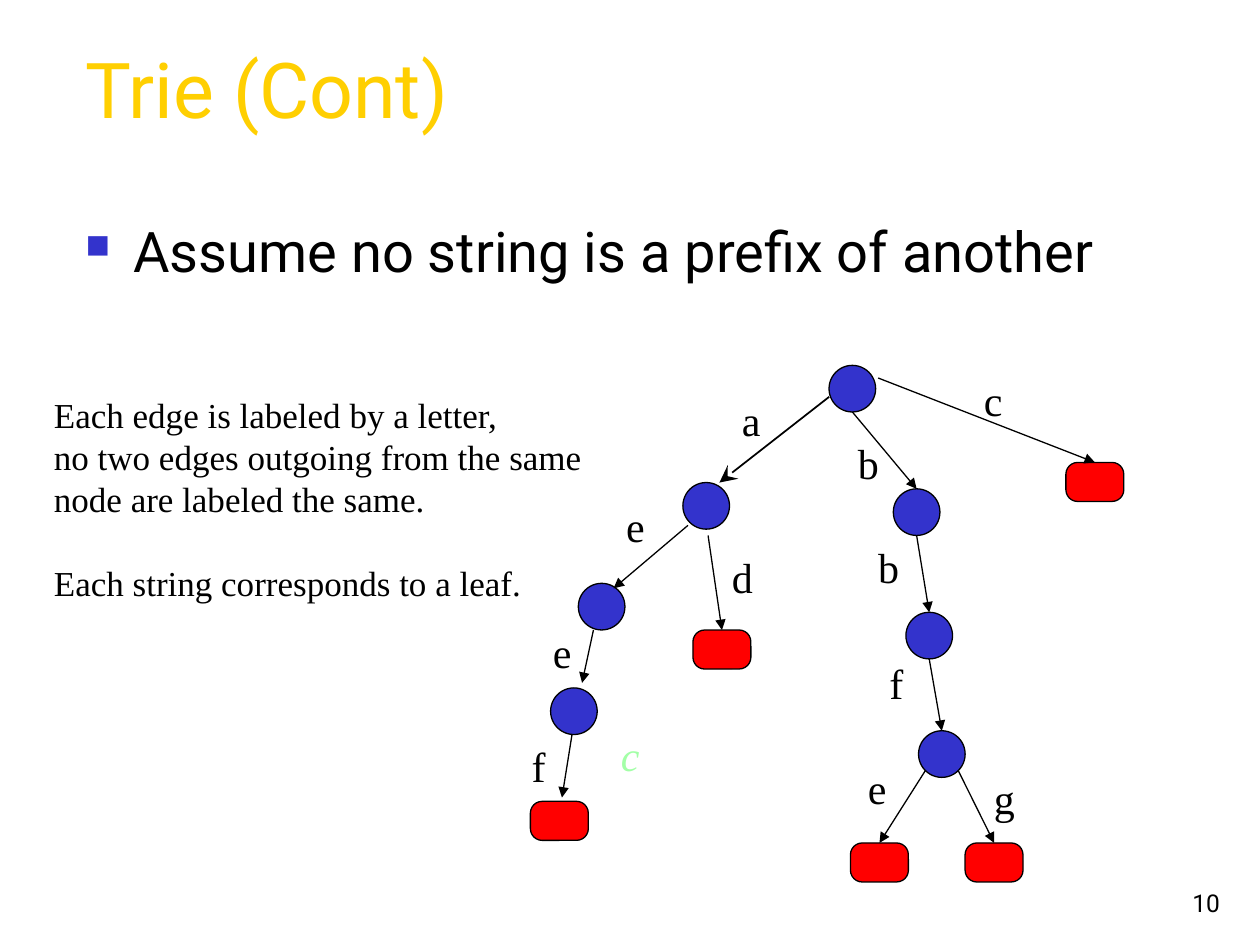
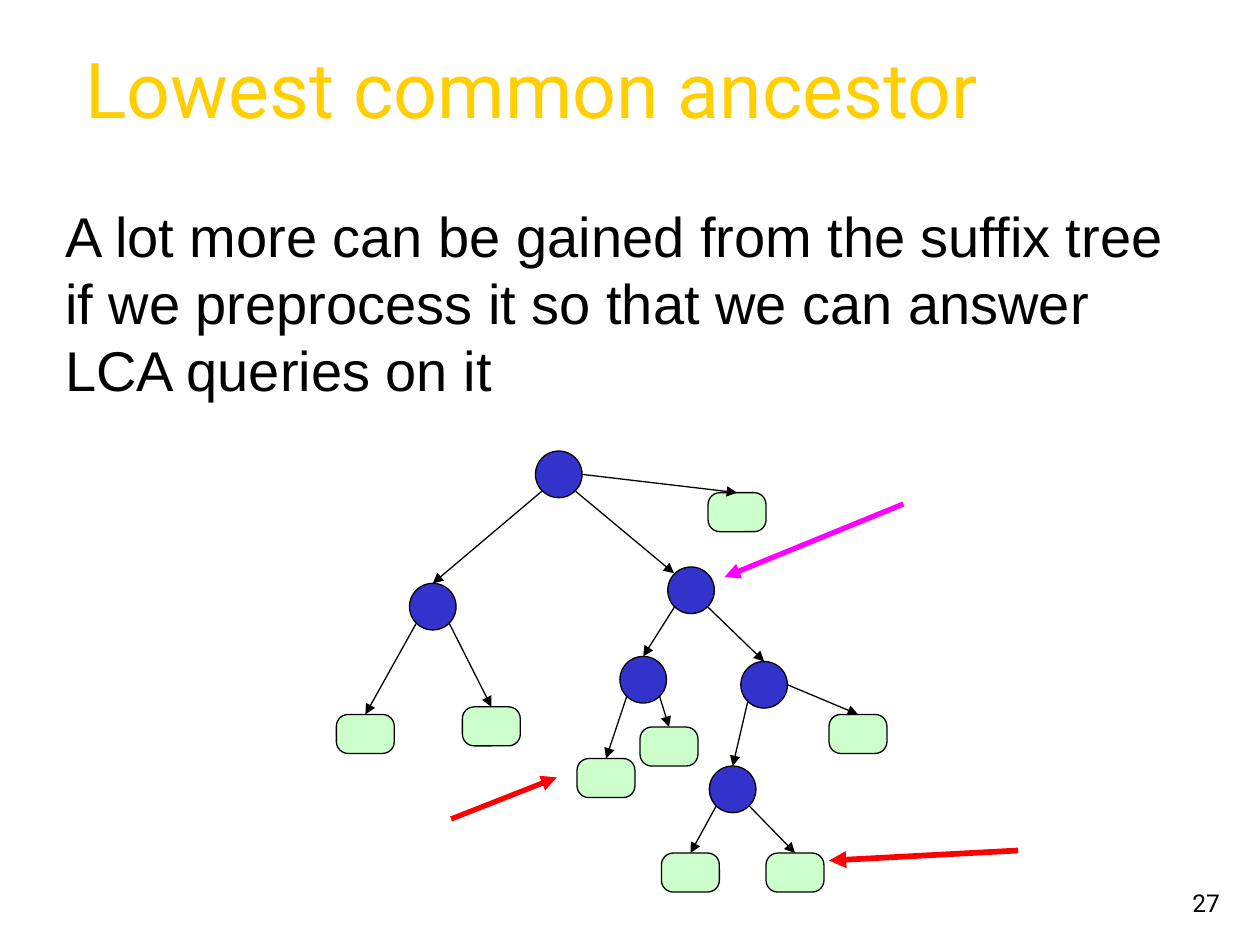
from lxml.etree import SubElement
from pptx import Presentation
from pptx.dml.color import RGBColor
from pptx.enum.shapes import MSO_CONNECTOR, MSO_SHAPE
from pptx.enum.text import MSO_ANCHOR, PP_ALIGN
from pptx.oxml.ns import qn
from pptx.util import Inches, Pt

COLORS = {
    "title": "FFCF01", "text": "000000", "outline": "000000", "node": "3333CC",
    "red": "FF0000", "mint": "CCFFCC", "pale green": "A3FFA7", "magenta": "FF00FF",
}
SANS, SERIF, ARIAL = "Roboto", "Times New Roman", "Arial"

presentation = Presentation()
presentation.slide_width, presentation.slide_height = Inches(10), Inches(7.5)

# Grid of 100 columns by 75 rows; every position below is (column, row)
COLUMN = presentation.slide_width // 100
ROW = presentation.slide_height // 75
NODE_SIZE = 3.7
LEAF_WIDTH, LEAF_HEIGHT = 4.6, 3.1

# Where an edge leaves its parent, as shares of the circle's box
SIDES = {
    "bottom": (0.5, 1), "right": (1, 0.5),
    "lower left": (0.15, 0.85), "lower right": (0.85, 0.85),
}


def add_text(slide, box, lines, size, font, color="text", space=0,
             anchor=MSO_ANCHOR.TOP):
    left, top, width, height = box
    shape = slide.shapes.add_textbox(
        round(left * COLUMN), round(top * ROW), round(width * COLUMN), round(height * ROW))
    frame = shape.text_frame
    frame.word_wrap = True
    frame.vertical_anchor = anchor
    frame.text = "\n".join(lines)
    for paragraph in frame.paragraphs:
        paragraph.font.size = Pt(size)
        paragraph.font.name = font
        paragraph.font.color.rgb = RGBColor.from_string(COLORS[color])
        paragraph.space_before = Pt(space)
    return frame.paragraphs


def add_arrow(slide, start, end, color="outline", width=0.75, head="triangle", head_size="med"):
    connector = slide.shapes.add_connector(
        MSO_CONNECTOR.STRAIGHT, round(start[0] * COLUMN), round(start[1] * ROW),
        round(end[0] * COLUMN), round(end[1] * ROW))
    connector.line.color.rgb = RGBColor.from_string(COLORS[color])
    connector.line.width = Pt(width)
    SubElement(connector.line._get_or_add_ln(), qn("a:tailEnd"),
               type=head, w=head_size, len=head_size)
    SubElement(connector._element.spPr, qn("a:effectLst"))
    return connector


# Trees: circles and leaves by name, edges as (start, child);
# a start is either (parent, side) or a point
trees = [
    {
        "title": "Trie (Cont)", "number": "10", "leaf color": "red",
        "nodes": {
            "root": (65.8, 29), "a": (54.2, 38.3), "ae": (45.9, 46.3), "aee": (43.7, 54.6),
            "b": (70.9, 38.8), "bb": (71.9, 48.6), "bbf": (72.9, 58),
        },
        "leaves": {
            "aeef": (42.1, 63.6), "ad": (55, 50), "bbfe": (67.5, 66.9),
            "bbfg": (76.6, 66.9), "c": (84.6, 36.7),
        },
        "edges": [
            ((69.7, 30), "c"), (("root", "bottom"), "b"), (("b", "bottom"), "bb"),
            (("bb", "bottom"), "bbf"), (("bbf", "lower left"), "bbfe"),
            (("bbf", "lower right"), "bbfg"), ((56.2, 42.5), "ad"),
        ],
    },
    {
        "title": "Lowest common ancestor", "number": "27", "leaf color": "mint",
        "nodes": {
            "root": (42.5, 35.8), "left": (32.5, 46.3), "ancestor": (53, 45),
            "inner left": (49.2, 52.1), "inner right": (58.8, 52.5), "lowest": (56.3, 60.8),
        },
        "leaves": {
            "leaf 1": (26.7, 56.7), "leaf 2": (36.7, 56.1), "leaf 3": (45.8, 60.2),
            "leaf 4": (50.8, 57.7), "leaf 5": (52.5, 67.7), "leaf 6": (60.8, 67.7),
            "leaf 7": (65.8, 56.7), "leaf 8": (56.2, 39.1),
        },
        "edges": [
            (("root", "lower left"), "left"), (("root", "right"), "leaf 8"),
            (("left", "lower left"), "leaf 1"), (("left", "lower right"), "leaf 2"),
            (("ancestor", "lower left"), "inner left"),
            (("ancestor", "lower right"), "inner right"),
            (("inner left", "lower left"), "leaf 3"),
            (("inner left", "lower right"), "leaf 4"),
            (("inner right", "lower left"), "lowest"), (("inner right", "right"), "leaf 7"),
            (("lowest", "lower left"), "leaf 5"), (("lowest", "lower right"), "leaf 6"),
        ],
    },
]

# What both slides share: title, tree, slide number
slides = []
for tree in trees:
    slide = presentation.slides.add_slide(presentation.slide_layouts[6])
    slides.append(slide)
    add_text(slide, (5.8, 2.3, 90.8, 9.3), [tree["title"]], 44, SANS, "title",
             anchor=MSO_ANCHOR.MIDDLE)
    number = add_text(slide, (77, 68.3, 20.8, 5), [tree["number"]], 14, SANS,
                      anchor=MSO_ANCHOR.BOTTOM)
    number[0].alignment = PP_ALIGN.RIGHT

    # Circles and leaves
    placed = {}
    for group, preset, width, height, color in (
        ("nodes", MSO_SHAPE.OVAL, NODE_SIZE, NODE_SIZE, "node"),
        ("leaves", MSO_SHAPE.ROUNDED_RECTANGLE, LEAF_WIDTH, LEAF_HEIGHT, tree["leaf color"]),
    ):
        for name, (left, top) in tree[group].items():
            shape = slide.shapes.add_shape(
                preset, round(left * COLUMN), round(top * ROW),
                round(width * COLUMN), round(height * ROW))
            shape.shadow.inherit = False
            shape.fill.solid()
            shape.fill.fore_color.rgb = RGBColor.from_string(COLORS[color])
            shape.line.color.rgb = RGBColor.from_string(COLORS["outline"])
            shape.line.width = Pt(0.75)
            if group == "leaves":
                shape.adjustments[0] = 0.3
            placed[name] = shape

    # Edges end at the top of the child
    for start, child in tree["edges"]:
        if start[0] in tree["nodes"]:
            left, top = tree["nodes"][start[0]]
            across, down = SIDES[start[1]]
            start = (left + across * NODE_SIZE, top + down * NODE_SIZE)
        add_arrow(slide, start, start).end_connect(placed[child], 0)

trie_slide, ancestor_slide = slides

# Trie: bulleted statement
statement = add_text(trie_slide, (5.8, 16.7, 90, 7.6),
                     ["Assume no string is a prefix of another"], 32, SANS, space=8)[0]
properties = statement._p.get_or_add_pPr()
properties.set("marL", str(Inches(0.38)))
properties.set("indent", str(-Inches(0.38)))
bullet_color = SubElement(properties, qn("a:buClr"))
SubElement(bullet_color, qn("a:srgbClr"), val=COLORS["node"])
SubElement(properties, qn("a:buSzPct"), val="60000")
SubElement(properties, qn("a:buChar"), char="■")

# Trie: explanation beside the tree
explanation = add_text(trie_slide, (3.3, 30.7, 45, 17.7), [
    "Each edge is labeled by a letter,",
    "no two edges outgoing from the same node are labeled the same.",
    "Each string corresponds to a leaf.",
], 20, SERIF)
explanation[-1].space_before = Pt(24)

# Trie: edges that stop short of their child
add_arrow(trie_slide, (65.8, 31.5), (57.1, 38.3), width=1, head="stealth", head_size="lg")
for start, end in (
    ((54.6, 41.7), (48.7, 46.7)),
    ((47.1, 50), (46.2, 54.2)),
    ((45.4, 58.3), (44.6, 63.3)),
):
    add_arrow(trie_slide, start, end)

# Trie: edge letters
for letter, left, top in (
    ("a", 57.9, 30.8), ("b", 67.1, 34.2), ("c", 77.1, 29.2), ("e", 48.7, 39.2),
    ("e", 42.9, 49.2), ("f", 41.2, 58.3), ("d", 57.1, 43.3), ("b", 68.7, 42.5),
    ("f", 69.6, 51.7), ("e", 67.9, 60), ("g", 77.9, 60.8),
):
    add_text(trie_slide, (left, top, 4.2, 5), [letter], 24, SERIF, space=15)
stray_letter = add_text(trie_slide, (48.3, 57.4, 5.8, 5), ["c"], 24, SERIF, "pale green", 15)
stray_letter[0].font.italic = True

# Lowest common ancestor: introduction
add_text(ancestor_slide, (4.2, 15.5, 91.7, 17), [
    "A lot more can be gained from the suffix tree if we preprocess it "
    "so that we can answer LCA queries on it",
], 32, ARIAL, space=8)

# Lowest common ancestor: edge to the ancestor, then pointers to it and the two leaves
add_arrow(ancestor_slide, (45.7, 39), (53.5, 45.5))
for start, end, color, width in (
    ((80.8, 67.5), (65.8, 68.3), "red", 3.25),
    ((35.8, 65), (44.2, 61.7), "red", 3),
    ((71.7, 40), (57.5, 45.8), "magenta", 3),
):
    add_arrow(ancestor_slide, start, end, color, width)

presentation.save("out.pptx")
